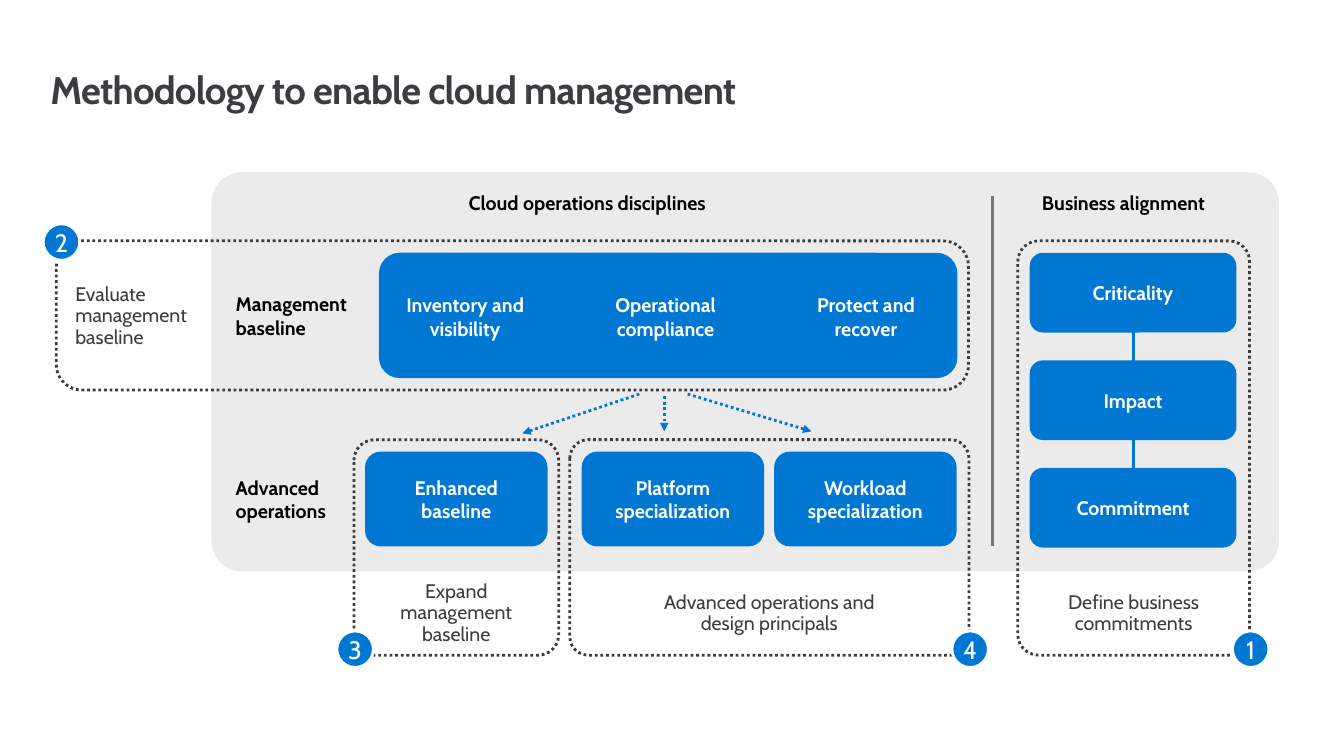
from dataclasses import dataclass

from lxml.etree import SubElement
from pptx import Presentation
from pptx.dml.color import RGBColor
from pptx.enum.dml import MSO_LINE
from pptx.enum.shapes import MSO_CONNECTOR, MSO_SHAPE
from pptx.enum.text import MSO_ANCHOR as Anchor, PP_ALIGN as Align
from pptx.oxml.ns import qn
from pptx.util import Cm, Pt

COLORS = {"blue": "0078D3", "dark": "3C3C41", "panel": "EBEBEB",
          "divider": "75757A", "black": "000000", "white": "FFFFFF"}
FONT = "Cabin"
BADGE_SIZE = 0.92
CARD_GAP = 0.3


@dataclass
class Box:
    """A rectangle in centimetres."""
    left: float
    top: float
    width: float
    height: float

    @property
    def right(self):
        """Return the right edge."""
        return self.left + self.width

    @property
    def bottom(self):
        """Return the bottom edge."""
        return self.top + self.height

    @property
    def center(self):
        """Return the horizontal centre."""
        return self.left + self.width / 2

    def inner(self, left, top, width, height):
        """Return a box offset from this one's top left corner."""
        return Box(self.left + left, self.top + top, width, height)

    def lengths(self):
        """Return left, top, width and height as slide lengths."""
        return [Cm(value) for value in (self.left, self.top, self.width, self.height)]


def rgb(name):
    """Return the named colour."""
    return RGBColor.from_string(COLORS[name])


def write(shape, text, color, size=14, bold=False, align=Align.CENTER,
          anchor=Anchor.MIDDLE, insets=(0, 0, 0, 0), spacing=None):
    """Fill a shape with formatted text."""
    frame = shape.text_frame
    frame.text = text
    frame.word_wrap = True
    frame.vertical_anchor = anchor
    frame.margin_left, frame.margin_top, frame.margin_right, frame.margin_bottom = map(Cm, insets)
    for paragraph in frame.paragraphs:
        paragraph.alignment = align
        paragraph.line_spacing = spacing
        for run in paragraph.runs:
            run.font.name, run.font.size, run.font.bold = FONT, Pt(size), bold
            run.font.color.rgb = rgb(color)


def add_text(slide, box, text, color, **options):
    """Add a text box."""
    write(slide.shapes.add_textbox(*box.lengths()), text, color, **options)


def add_caption(slide, box, text, align=Align.CENTER):
    """Add a regular-weight description of a step."""
    add_text(slide, box, text, "dark", align=align, spacing=0.9,
             insets=(0.25, 0.13, 0.25, 0.13))


def add_block(slide, box, fill=None, line=None, kind=MSO_SHAPE.ROUNDED_RECTANGLE, radius=None):
    """Add a flat shape and return it."""
    shape = slide.shapes.add_shape(kind, *box.lengths())
    shape.shadow.inherit = False
    if radius:
        shape.adjustments[0] = radius
    if fill:
        shape.fill.solid()
        shape.fill.fore_color.rgb = rgb(fill)
    else:
        shape.fill.background()
    if line:
        shape.line.color.rgb, shape.line.width = rgb(line), Pt(2)
    else:
        shape.line.fill.background()
    return shape


def add_frame(slide, box, radius):
    """Add a dotted frame around a step."""
    add_block(slide, box, line="dark", radius=radius).line.dash_style = MSO_LINE.ROUND_DOT


def add_card(slide, box, text):
    """Add a blue card with a white label."""
    write(add_block(slide, box, "blue"), text, "white", bold=True, insets=(0.5, 0.4, 0.5, 0.4))


def add_badge(slide, x, y, number):
    """Add a numbered circle centred on a point."""
    box = Box(x - BADGE_SIZE / 2, y - BADGE_SIZE / 2, BADGE_SIZE, BADGE_SIZE)
    circle = add_block(slide, box, "blue", "white", MSO_SHAPE.OVAL)
    write(circle, number, "white", size=18, spacing=0.9, insets=(0, 0.13, 0, 0))


def add_line(slide, start, end, color, arrow=False):
    """Add a straight line or a dotted arrow."""
    line = slide.shapes.add_connector(MSO_CONNECTOR.STRAIGHT, *map(Cm, (*start, *end)))
    line.line.color.rgb, line.line.width = rgb(color), Pt(2)
    if arrow:
        line.line.dash_style = MSO_LINE.ROUND_DOT
        SubElement(line.line._get_or_add_ln(), qn("a:tailEnd"), type="triangle")
    SubElement(line._element.spPr, qn("a:effectLst"))


def add_title(slide, box, text):
    """Place and format the title placeholder."""
    title = slide.shapes.title
    title.left, title.top, title.width, title.height = box.lengths()
    write(title, text, "dark", size=27.4, bold=True, align=Align.LEFT,
          anchor=Anchor.TOP, spacing=Pt(31.4))
    title.text_frame.paragraphs[0].runs[0]._r.get_or_add_rPr().set("spc", "-50")


def add_panel(slide, box):
    """Draw the grey panel with its headings, row labels and divider."""
    add_block(slide, box, "panel", radius=0.077)
    labels = [("Cloud operations disciplines", 6.48, 0.46),
              ("Business alignment", 20.93, 0.46),
              ("Management\nbaseline", 0.61, 3.02),
              ("Advanced\noperations", 0.61, 7.65)]
    for text, left, top in labels:
        width, height = (3.12, 1.2) if "\n" in text else (6.58, 0.6)
        add_text(slide, box.inner(left, top, width, height), text, "black", bold=True,
                 align=Align.LEFT, anchor=Anchor.TOP)
    x = box.left + 19.69
    add_line(slide, (x, box.top + 0.61), (x, box.top + 9.42), "divider")


def add_baseline(slide, box):
    """Draw the management baseline step."""
    add_frame(slide, box, 0.172)
    add_block(slide, box.inner(8.13, CARD_GAP, 14.58, box.height - 2 * CARD_GAP), "blue")
    disciplines = ["Inventory and visibility", "Operational compliance", "Protect and recover"]
    for index, text in enumerate(disciplines):
        add_text(slide, box.inner(8.31 + 5.05 * index, 1.12, 3.99, 1.57), text, "white", bold=True)
    add_caption(slide, box.inner(0.23, 0.97, 3.71, 1.88), "Evaluate management baseline", Align.LEFT)
    add_badge(slide, box.left + 0.13, box.top + 0.03, "2")


def add_arrows(slide, box):
    """Draw the arrows from the baseline to the advanced operations."""
    tip = box.height - 0.05
    for start, end in [((2.95, 0), (0, box.height)), ((4.17, 0), (box.width, tip)),
                       ((3.58, 0.05), (3.58, tip))]:
        add_line(slide, (box.left + start[0], box.top + start[1]),
                 (box.left + end[0], box.top + end[1]), "blue", arrow=True)


def add_step(slide, box, radius, cards, caption, caption_width, number, badge_x):
    """Draw a framed step with cards above a caption and a badge on its lower edge."""
    add_frame(slide, box, radius)
    for card, text in cards:
        add_card(slide, card, text)
    place = Box(box.center - caption_width / 2, box.bottom - 1.99, caption_width, 1.88)
    add_caption(slide, place, caption)
    add_badge(slide, badge_x + 0.03, box.bottom - 0.15, number)


def add_advanced(slide, box):
    """Draw the two advanced operations steps."""
    enhanced = box.inner(0, 0, 5.16, box.height)
    special = box.inner(5.44, 0, 10.06, box.height)
    cards = [(enhanced.inner(0.28, CARD_GAP, 4.6, 2.39), "Enhanced baseline")]
    add_step(slide, enhanced, 0.1, cards, "Expand management baseline", 3.63, "3", enhanced.left)
    cards = [(special.inner(CARD_GAP + 4.85 * index, CARD_GAP, 4.6, 2.39), text)
             for index, text in enumerate(["Platform specialization", "Workload specialization"])]
    add_step(slide, special, 0.086, cards, "Advanced operations and design principals", 6.38,
             "4", special.right)


def add_business(slide, box):
    """Draw the business alignment step with its linked cards."""
    cards = [(box.inner(CARD_GAP, CARD_GAP + 2.71 * index, 5.21, 2.01), text)
             for index, text in enumerate(["Criticality", "Impact", "Commitment"])]
    x = cards[0][0].center
    add_line(slide, (x, cards[0][0].bottom - 0.4), (x, cards[-1][0].top + 0.7), "blue")
    add_step(slide, box, 0.089, cards, "Define business commitments", 4.45, "1", box.right)


def main():
    """Build and save the presentation."""
    presentation = Presentation()
    presentation.slide_width, presentation.slide_height = Cm(33.87), Cm(19.05)
    slide = presentation.slides.add_slide(presentation.slide_layouts[5])
    add_title(slide, Box(1.27, 1.73, 19.96, 1.12), "Methodology to enable cloud management")
    add_panel(slide, Box(5.33, 4.34, 26.9, 10.06))
    add_baseline(slide, Box(1.42, 6.07, 22.99, 3.76))
    add_advanced(slide, Box(8.92, 11.08, 15.5, 5.43))
    add_arrows(slide, Box(13.16, 9.93, 7.29, 0.99))
    add_business(slide, Box(25.65, 6.07, 5.84, 10.44))
    presentation.save("out.pptx")


if __name__ == "__main__":
    main()
